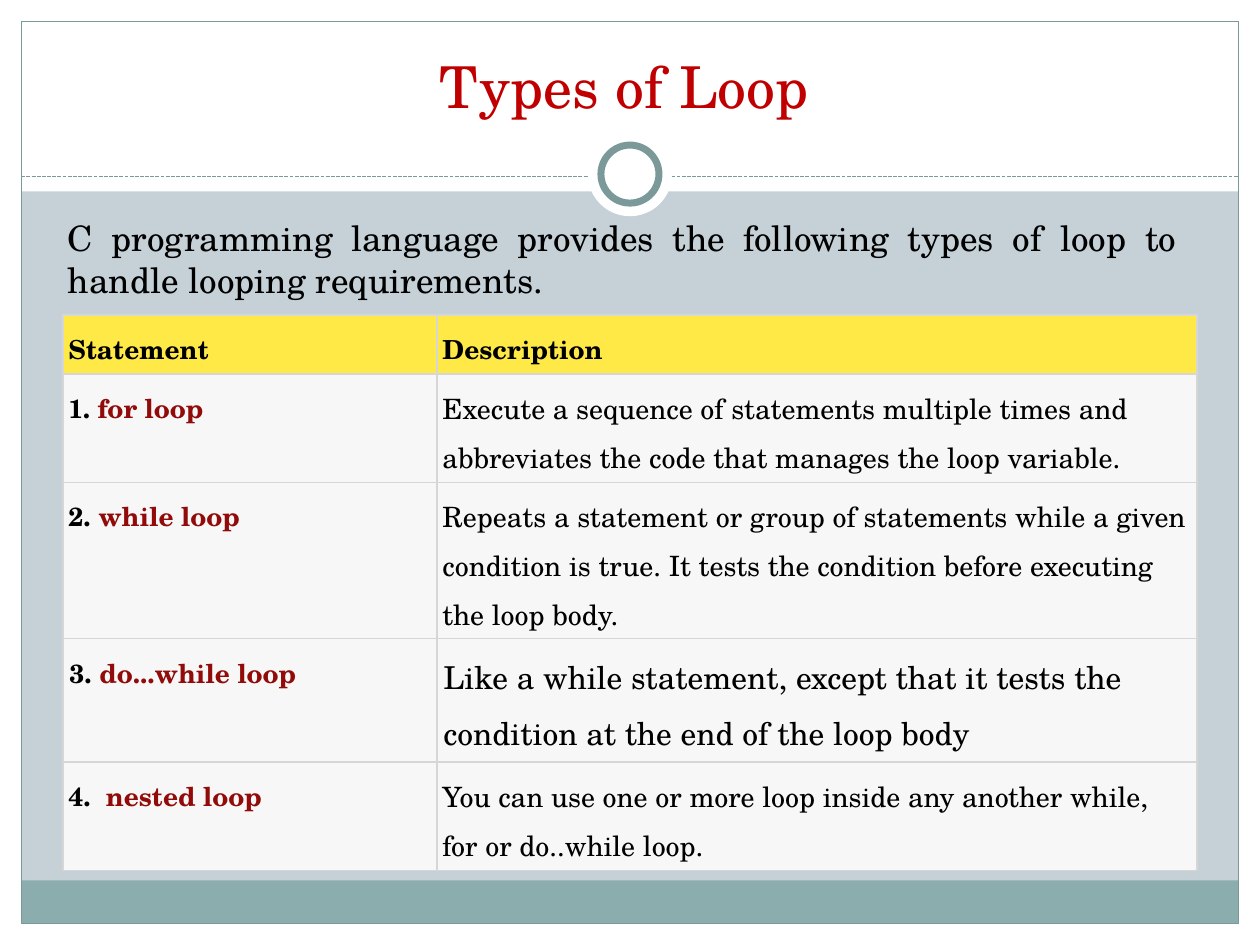
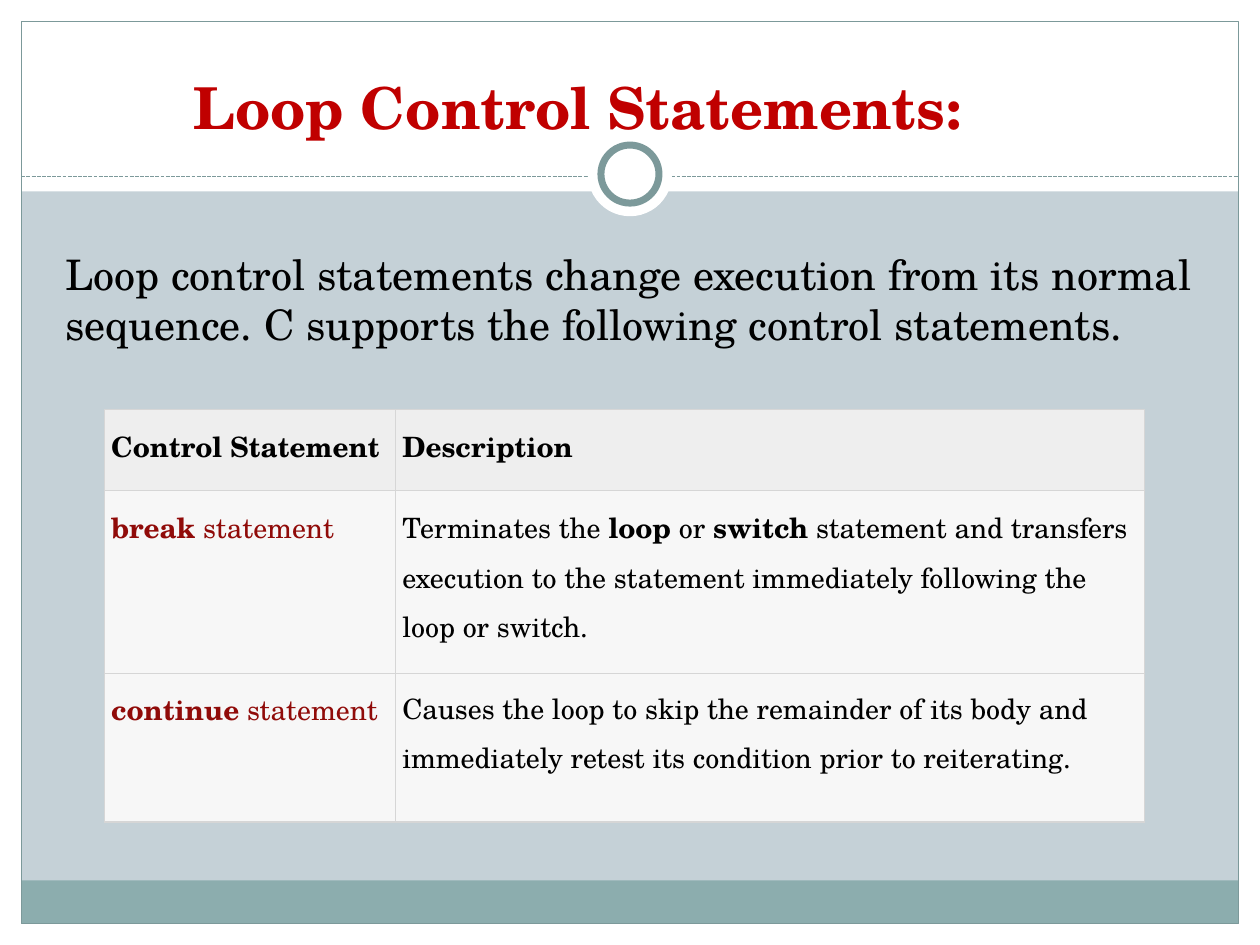
"""Build two slides on the loops of C and their control statements."""
from lxml import etree
from pptx import Presentation
from pptx import util as u
from pptx.dml.color import RGBColor
from pptx.enum import dml, shapes, text
from pptx.oxml.ns import qn

FONT = "TeX Gyre Schola"
WHITE = RGBColor(0xFF, 0xFF, 0xFF)
BLACK = RGBColor(0, 0, 0)
PALE = RGBColor(0xC5, 0xD1, 0xD7)
TEAL = RGBColor(0x8C, 0xAD, 0xAE)
SLATE = RGBColor(0x7C, 0x99, 0x9A)
RED = RGBColor(0xC0, 0, 0)
WINE = RGBColor(0x90, 0x0B, 0x09)
GOLD = RGBColor(0xFF, 0xE9, 0x47)
GREY = RGBColor(0xEE, 0xEE, 0xEE)
SNOW = RGBColor(0xF7, 0xF7, 0xF7)
GRID = RGBColor(0xD6, 0xD6, 0xD6)

WIDE, HIGH, EDGE = 25.4, 19.05, 0.43
LEFT, MID, JUST = text.PP_ALIGN.LEFT, text.PP_ALIGN.CENTER, text.PP_ALIGN.JUSTIFY


def bold(words, size, color=BLACK):
    return words, size, color, True


def plain(words, size, color=BLACK):
    return words, size, color, False


SLIDES = [
    {
        "title": ((2.21, 0.56, 20.75, 1.98), plain("Types of Loop", 33, RED)),
        "intro": ((1.12, 4.24, 22.86, 1.96), JUST, plain(
            "C programming language provides the following types of loop "
            "to handle looping requirements.", 20)),
        "at": (1.27, 6.35),
        "cols": (7.54, 15.32),
        "rows": [
            (1.19, 0.11, GOLD, [bold("Statement", 15)], [bold("Description", 15)]),
            (2.18, 0.11, SNOW, [bold("1.", 15), bold(" for loop", 15, WINE)],
             [plain("Execute a sequence of statements multiple times and "
                    "abbreviates the code that manages the loop variable.", 16)]),
            (3.15, 0.11, SNOW, [bold("2. ", 15), bold("while loop", 15, WINE)],
             [plain("Repeats a statement or group of statements while a given "
                    "condition is true. It tests the condition before executing "
                    "the loop body.", 16)]),
            (2.49, 0.13, SNOW, [bold("3.", 15), bold(" do...while loop", 15, WINE)],
             [plain("Like a while statement, except that it tests the "
                    "condition at the end of the loop body", 18)]),
            (2.18, 0.11, SNOW, [bold("4. ", 15), bold(" nested loop", 15, WINE)],
             [plain("You can use one or more loop inside any another while, "
                    "for or do..while loop.", 16)]),
        ],
    },
    {
        "title": ((1.27, 1.27, 20.75, 1.7),
                  bold("Loop Control Statements:", 33, RED)),
        "intro": ((1.07, 4.88, 23.29, 2.31), LEFT, plain(
            "Loop control statements change execution from its normal "
            "sequence. C supports the following control statements.", 24)),
        "at": (2.11, 8.26),
        "cols": (5.87, 15.09),
        "rows": [
            (1.63, 0.13, GREY, [bold("Control Statement", 16)],
             [bold("Description", 16)]),
            (3.68, 0.13, SNOW,
             [bold("break", 16, WINE), plain(" statement", 16, WINE)],
             [plain("Terminates the ", 16), bold("loop", 16), plain(" or ", 16),
              bold("switch", 16),
              plain(" statement and transfers execution to the statement "
                    "immediately following the loop or switch.", 16)]),
            (3.0, 0.13, SNOW,
             [bold("continue", 16, WINE), plain(" statement", 16, WINE)],
             [plain("Causes the loop to skip the remainder of its body and "
                    "immediately retest its condition prior to reiterating.", 16)]),
        ],
    },
]


def cms(*nums):
    return [u.Cm(num) for num in nums]


def write(frame, runs, align=LEFT, space=None):
    para = frame.paragraphs[0]
    para.alignment = align
    para.line_spacing = space
    for words, size, color, heavy in runs:
        run = para.add_run()
        run.text = words
        run.font.name = FONT
        run.font.size = u.Pt(size)
        run.font.bold = heavy
        run.font.color.rgb = color


def add_text(slide, box, runs, align, anchor):
    frame = slide.shapes.add_textbox(*cms(*box)).text_frame
    frame.word_wrap = True
    frame.vertical_anchor = anchor
    write(frame, runs, align)


def add_form(slide, kind, box, fill=None, line=0):
    form = slide.shapes.add_shape(kind, *cms(*box))
    form.shadow.inherit = False
    if fill is None:
        form.fill.background()
    else:
        form.fill.solid()
        form.fill.fore_color.rgb = fill
    if line:
        form.line.color.rgb = SLATE
        form.line.width = u.Pt(line)
    else:
        form.line.fill.background()


def add_frame(slide):
    slide.background.fill.solid()
    slide.background.fill.fore_color.rgb = PALE
    rect, oval = shapes.MSO_SHAPE.RECTANGLE, shapes.MSO_SHAPE.OVAL
    inner, base = WIDE - 2 * EDGE, HIGH - EDGE
    for box in ((0, base, WIDE, EDGE), (0, 0, WIDE, 3.86),
                (0, 0, EDGE, HIGH), (WIDE - EDGE, 0, EDGE, HIGH)):
        add_form(slide, rect, box, WHITE)
    add_form(slide, rect, (EDGE, base - 0.87, inner, 0.87), TEAL)
    add_form(slide, rect, (EDGE, EDGE, inner, HIGH - 2 * EDGE), line=0.75)
    rule = slide.shapes.add_connector(
        shapes.MSO_CONNECTOR.STRAIGHT, *cms(EDGE, 3.56, WIDE - EDGE, 3.56))
    rule.line.color.rgb = SLATE
    rule.line.width = u.Pt(0.75)
    rule.line.dash_style = dml.MSO_LINE.SQUARE_DOT
    etree.SubElement(rule.element.spPr, qn("a:effectLst"))
    for size, line in ((1.7, 0), (1.17, 4)):
        box = ((WIDE - size) / 2, 3.51 - size / 2, size, size)
        add_form(slide, oval, box, WHITE, line)


def add_edges(cell):
    props = cell._tc.get_or_add_tcPr()
    for spot, side in enumerate(("lnL", "lnR", "lnT", "lnB")):
        edge = etree.Element(qn("a:" + side), w=str(u.Pt(0.75)))
        fill = etree.SubElement(edge, qn("a:solidFill"))
        etree.SubElement(fill, qn("a:srgbClr"), val=str(GRID))
        props.insert(spot, edge)


def add_grid(slide, at, cols, rows):
    size = sum(cols), sum(row[0] for row in rows)
    table = slide.shapes.add_table(
        len(rows), len(cols), *cms(*at, *size)).table
    for col, width in zip(table.columns, cols):
        col.width = u.Cm(width)
    for row, (height, inset, fill, *cells) in zip(table.rows, rows):
        row.height = u.Cm(height)
        for cell, runs in zip(row.cells, cells):
            cell.margin_left = cell.margin_right = u.Cm(inset)
            cell.margin_top = cell.margin_bottom = u.Cm(inset)
            cell.fill.solid()
            cell.fill.fore_color.rgb = fill
            add_edges(cell)
            write(cell.text_frame, runs, space=1.2)


def main():
    deck = Presentation()
    deck.slide_width, deck.slide_height = cms(WIDE, HIGH)
    for data in SLIDES:
        slide = deck.slides.add_slide(deck.slide_layouts[6])
        add_frame(slide)
        box, run = data["title"]
        add_text(slide, box, [run], MID, text.MSO_ANCHOR.BOTTOM)
        box, align, run = data["intro"]
        add_text(slide, box, [run], align, text.MSO_ANCHOR.TOP)
        add_grid(slide, data["at"], data["cols"], data["rows"])
    deck.save("out.pptx")


if __name__ == "__main__":
    main()
